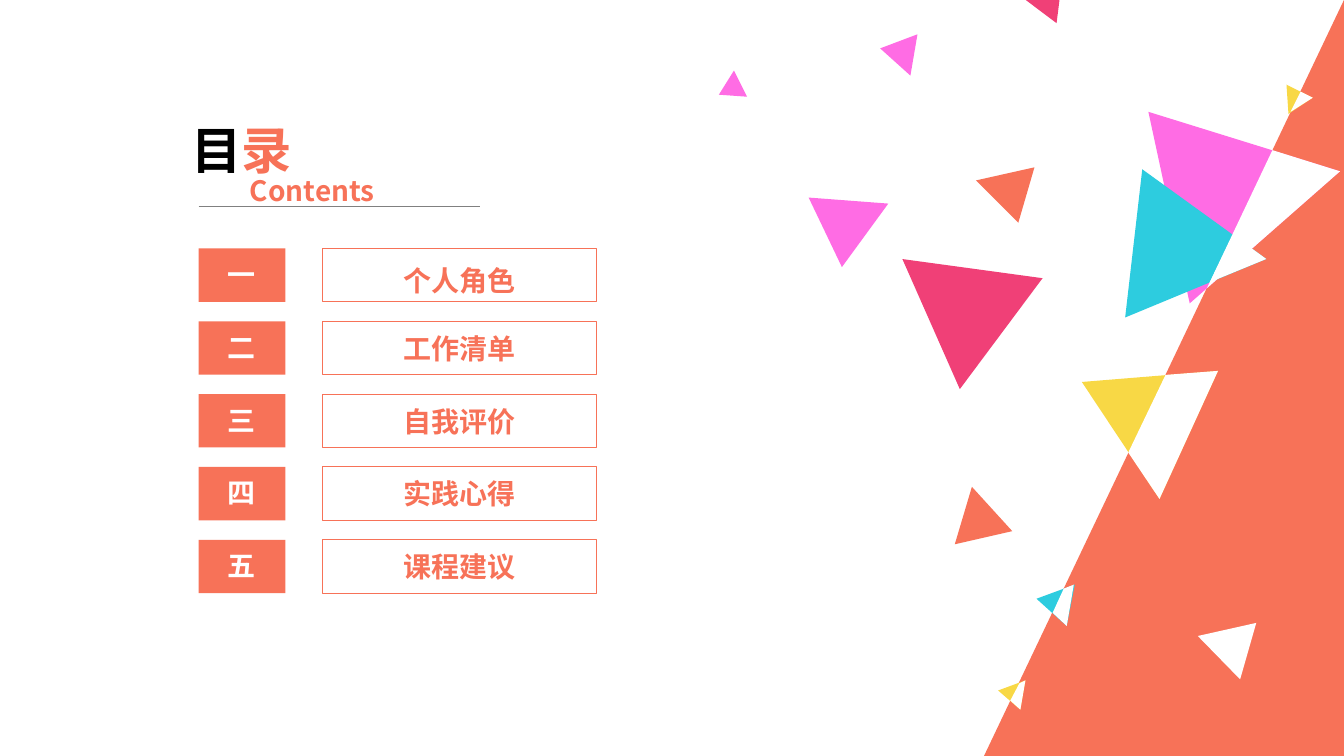
import pptx
import pptx.util
import pptx.dml.color
import pptx.enum.shapes
import pptx.enum.text
import pptx.oxml
import pptx.oxml.ns
import lxml.etree

Inches = pptx.util.Inches
RGBColor = pptx.dml.color.RGBColor
PRESET = pptx.enum.shapes.MSO_SHAPE
ALIGN = pptx.enum.text.PP_ALIGN

CORAL = RGBColor(0xF7, 0x72, 0x58)
PINK = RGBColor(0xFF, 0x6C, 0xE4)
CYAN = RGBColor(0x2D, 0xCC, 0xDF)
YELLOW = RGBColor(0xF8, 0xD8, 0x45)
CRIMSON = RGBColor(0xF0, 0x40, 0x77)
GREY = RGBColor(0x80, 0x80, 0x80)
BLACK = RGBColor(0, 0, 0)
WHITE = RGBColor(0xFF, 0xFF, 0xFF)
FONT = "Noto Sans CJK SC"

# Content: numeral, chapter, drop of the chapter text below the row top
CHAPTERS = [
    ("一", "个人角色", 0.10),
    ("二", "工作清单", 0.05),
    ("三", "自我评价", 0.05),
    ("四", "实践心得", 0.05),
    ("五", "课程建议", 0.05),
]
TITLE = [("目", BLACK), ("录", CORAL)]
SUBTITLE = "Contents"

# Confetti, back to front; corners in hundredths of an inch
CONFETTI = [
    (CORAL, [(1026, 166), (1010, 221), (968, 179)]),
    (PINK, [(1180, 301), (1139, 111), (1329, 170)]),
    (CYAN, [(1116, 315), (1133, 168), (1256, 257)]),
    (CYAN, [(1028, 594), (1066, 580), (1058, 621)]),
    (YELLOW, [(990, 685), (1017, 675), (1012, 704)]),
    (YELLOW, [(1073, 379), (1208, 368), (1150, 495)]),
    (CRIMSON, [(1034, 276), (952, 386), (895, 257)]),
    (YELLOW, [(1278, 113), (1276, 84), (1302, 97)]),
    (PINK, [(873, 48), (910, 34), (903, 75)]),
    (CRIMSON, [(1048, 23), (1016, -1), (1053, -17)]),
    (PINK, [(835, 265), (802, 196), (881, 202)]),
    (CORAL, [(1004, 527), (947, 540), (964, 483)]),
    (WHITE, [(1246, 618), (1230, 674), (1188, 631)]),
    # White where a piece overlaps the coral corner
    (WHITE, [(1262, 149), (1329, 170), (1197, 286)]),
    (WHITE, [(1223, 233), (1256, 257), (1200, 280)]),
    (WHITE, [(1065, 580), (1058, 621), (1044, 608), (1055, 584)]),
    (WHITE, [(1017, 675), (1012, 704), (1002, 695), (1011, 678)]),
    (WHITE, [(1208, 368), (1150, 495), (1119, 449), (1156, 372)]),
    (WHITE, [(1290, 91), (1302, 97), (1280, 111)]),
    (PINK, [(713, 94), (728, 70), (741, 96)]),
]

# Grid in inches
SLIDE_W, SLIDE_H = 13.33, 7.5
CORNER_LEFT = 9.76
NUMERAL_LEFT, NUMERAL_W = 1.97, 0.86
CHAPTER_LEFT, CHAPTER_W = 3.2, 2.72
LIST_TOP, ROW_PITCH, ROW_H = 2.465, 0.7225, 0.53
TEXT_H = 0.44

deck = pptx.Presentation()
deck.slide_width, deck.slide_height = Inches(SLIDE_W), Inches(SLIDE_H)
contents = deck.slides.add_slide(deck.slide_layouts[6])
shapes = contents.shapes


def paint(shape, fill=None, line=None):
    shape.shadow.inherit = False
    if fill is None:
        shape.fill.background()
    else:
        shape.fill.solid()
        shape.fill.fore_color.rgb = fill
    if line is None:
        shape.line.fill.background()
    else:
        shape.line.color.rgb = line
        shape.line.width = pptx.util.Pt(0.75)
    return shape


def add_preset(preset, box, **colours):
    return paint(shapes.add_shape(preset, *map(Inches, box)), **colours)


def add_text(box, runs, size=20, align=ALIGN.LEFT):
    frame = shapes.add_textbox(*map(Inches, box)).text_frame
    frame.word_wrap = True
    frame.auto_size = pptx.enum.text.MSO_AUTO_SIZE.SHAPE_TO_FIT_TEXT
    paragraph = frame.paragraphs[0]
    paragraph.alignment = align
    style = {"size": pptx.util.Pt(size), "bold": True, "name": FONT}
    for words, colour in runs:
        run = paragraph.add_run()
        run.text = words
        run.font.color.rgb = colour
        for key, value in style.items():
            setattr(run.font, key, value)
        east_asian = lxml.etree.SubElement(
            run.font._element, pptx.oxml.ns.qn("a:ea"))
        east_asian.set("typeface", FONT)


# Coral corner
corner = add_preset(PRESET.ISOSCELES_TRIANGLE,
                    (CORNER_LEFT, 0, SLIDE_W - CORNER_LEFT, SLIDE_H), fill=CORAL)
corner.adjustments[0] = 1.0

# Heading
add_text((1.8, 1.13, 1.57, 0.71), TITLE, size=36)
rule = shapes.add_connector(pptx.enum.shapes.MSO_CONNECTOR.STRAIGHT,
                            *map(Inches, (1.97, 2.05, 4.76, 2.05)))
rule.line.color.rgb = GREY
rule.line.width = pptx.util.Pt(0.5)
lxml.etree.SubElement(rule._element.spPr, pptx.oxml.ns.qn("a:effectLst"))
add_text((2.38, 1.67, 1.57, TEXT_H), [(SUBTITLE, CORAL)])

# Confetti
for colour, corners in CONFETTI:
    outline = shapes.build_freeform(*corners[0], scale=Inches(0.01))
    outline.add_line_segments(corners[1:], close=True)
    paint(outline.convert_to_shape(), fill=colour)

# Chapter list
for row, (numeral, chapter, drop) in enumerate(CHAPTERS):
    top = LIST_TOP + row * ROW_PITCH
    add_preset(PRESET.RECTANGLE, (CHAPTER_LEFT, top, CHAPTER_W, ROW_H), line=CORAL)
    add_text((CHAPTER_LEFT, top + drop, CHAPTER_W, TEXT_H),
             [(chapter, CORAL)], align=ALIGN.CENTER)
    add_preset(PRESET.RECTANGLE, (NUMERAL_LEFT, top, NUMERAL_W, ROW_H), fill=CORAL)
    add_text((NUMERAL_LEFT + 0.19, top + 0.04, 0.62, TEXT_H), [(numeral, WHITE)])

deck.save("out.pptx")
